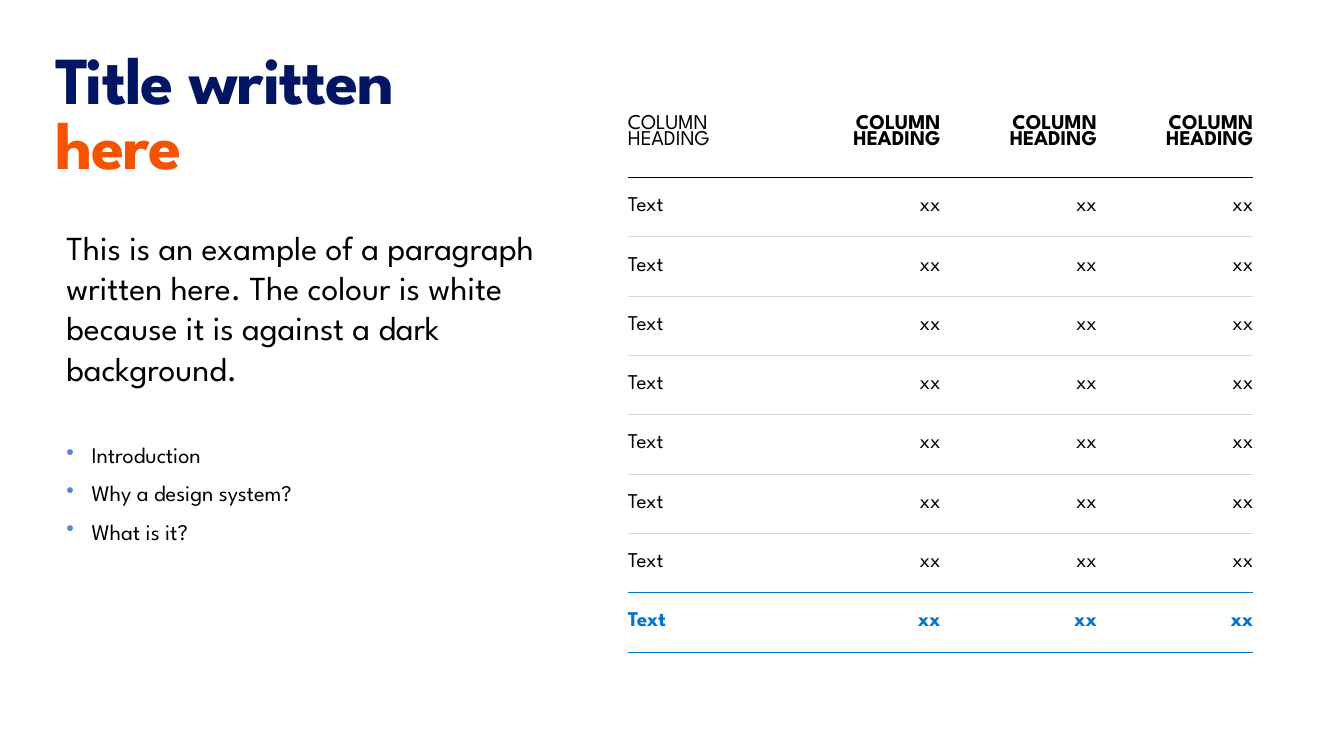
from dataclasses import dataclass

from lxml import etree
from pptx import Presentation
from pptx.dml.color import RGBColor
from pptx.enum.text import MSO_ANCHOR, MSO_AUTO_SIZE, PP_ALIGN
from pptx.oxml.ns import qn
from pptx.util import Pt

LEFT, RIGHT = PP_ALIGN.LEFT, PP_ALIGN.RIGHT
TOP, MIDDLE = MSO_ANCHOR.TOP, MSO_ANCHOR.MIDDLE
GROW = MSO_AUTO_SIZE.SHAPE_TO_FIT_TEXT


@dataclass(frozen=True)
class Theme:
    font: str = "League Spartan"
    white: str = "FFFFFF"
    black: str = "000000"
    navy: str = "021563"
    orange: str = "F55301"
    dot: str = "5184DC"
    grey: str = "D9D9D9"
    blue: str = "0075C9"
    title: int = 48
    lead: int = 24
    list: int = 16
    cell: int = 15


class Deck:
    def __init__(self, theme, slide):
        self.theme = theme
        self.slide = slide

    def run(self, para, text, size, color, bold=False, track=0):
        run = para.add_run()
        run.text = text
        font = run.font
        font.name, font.size, font.bold = self.theme.font, Pt(size), bold
        font.color.rgb = RGBColor.from_string(color)
        if track:
            run._r.get_or_add_rPr().set("spc", str(round(track * 100)))

    def tint(self, parent, color):
        fill = etree.SubElement(parent, qn("a:solidFill"))
        etree.SubElement(fill, qn("a:srgbClr"), val=color)

    def bullet(self, para):
        props = para._p.get_or_add_pPr()
        props.set("marL", str(Pt(18)))
        props.set("indent", str(-Pt(18)))
        color = etree.SubElement(props, qn("a:buClr"))
        etree.SubElement(color, qn("a:srgbClr"), val=self.theme.dot)
        etree.SubElement(props, qn("a:buChar"), char="•")

    def text(self, box, lines, size, lead=1.0, gap=0, bullets=False, **style):
        """Lines are (text, color) pairs, one paragraph each."""
        frame = self.slide.shapes.add_textbox(*map(Pt, box)).text_frame
        frame.word_wrap = True
        frame.auto_size = GROW
        for i, (words, color) in enumerate(lines):
            para = frame.add_paragraph() if i else frame.paragraphs[0]
            if bullets:
                self.bullet(para)
            para.line_spacing = lead
            if i and gap:
                para.space_before = Pt(gap)
            self.run(para, words, size, color, **style)

    def border(self, cell, side, color=None):
        props = cell._tc.get_or_add_tcPr()
        line = etree.SubElement(props, qn("a:ln" + side), w=str(Pt(0.5)))
        if color:
            self.tint(line, color)
        else:
            etree.SubElement(line, qn("a:noFill"))

    def cell(self, cell, text, first, anchor, color, bold, above, below):
        cell.margin_left, cell.margin_right = (0, Pt(9)) if first else (Pt(9), 0)
        cell.margin_top = cell.margin_bottom = Pt(4.5)
        cell.vertical_anchor = anchor
        for side, line in zip("LRTB", (None, None, above, below)):
            self.border(cell, side, line)
        cell.fill.solid()
        cell.fill.fore_color.rgb = RGBColor.from_string(self.theme.white)
        para = cell.text_frame.paragraphs[0]
        para.alignment = LEFT if first else RIGHT
        para.line_spacing = 0.8
        self.run(para, text, self.theme.cell, color, bold)

    def table(self, box, rows, head):
        theme = self.theme
        count, width = len(rows), len(rows[0])
        table = self.slide.shapes.add_table(count, width, *map(Pt, box)).table
        table.first_row = table.horz_banding = False
        for col in table.columns:
            col.width = Pt(box[2] / width)
        # Rule below each row: black head, grey body, blue around the total
        rules = [theme.black] + [theme.grey] * (count - 3) + [theme.blue] * 2
        for r, texts in enumerate(rows):
            top, total = r == 0, r == count - 1
            table.rows[r].height = Pt(head if top else (box[3] - head) / (count - 1))
            for c, words in enumerate(texts):
                self.cell(
                    table.cell(r, c), words, c == 0,
                    anchor=TOP if top else MIDDLE,
                    color=theme.blue if total else theme.black,
                    bold=total or (top and c > 0),
                    above=None if top else rules[r - 1],
                    below=rules[r],
                )


def main():
    prs = Presentation()
    prs.slide_width, prs.slide_height = Pt(960), Pt(540)
    theme = Theme()
    deck = Deck(theme, prs.slides.add_slide(prs.slide_layouts[6]))

    # Title
    deck.text(
        (32.4, 34.6, 424, 100),
        [("Title written", theme.navy), ("here", theme.orange)],
        theme.title, lead=0.8, bold=True, track=-0.8,
    )

    # Bullet list
    topics = ("Introduction", "Why a design system?", "What is it?")
    deck.text(
        (40.3, 313.9, 406, 80), [(topic, theme.black) for topic in topics],
        theme.list, lead=0.9, gap=10, bullets=True,
    )

    # Lead paragraph
    lead = ("This is an example of a paragraph written here. The colour is "
            "white because it is against a dark background.")
    deck.text((40.3, 158.4, 406, 124), [(lead, theme.black)], theme.lead)

    # Table
    rows = [["COLUMN HEADING"] * 4] + [["Text"] + ["xx"] * 3] * 8
    deck.table((448.5, 79.2, 446.8, 386.4), rows, head=47.6)

    prs.save("out.pptx")


if __name__ == "__main__":
    main()
